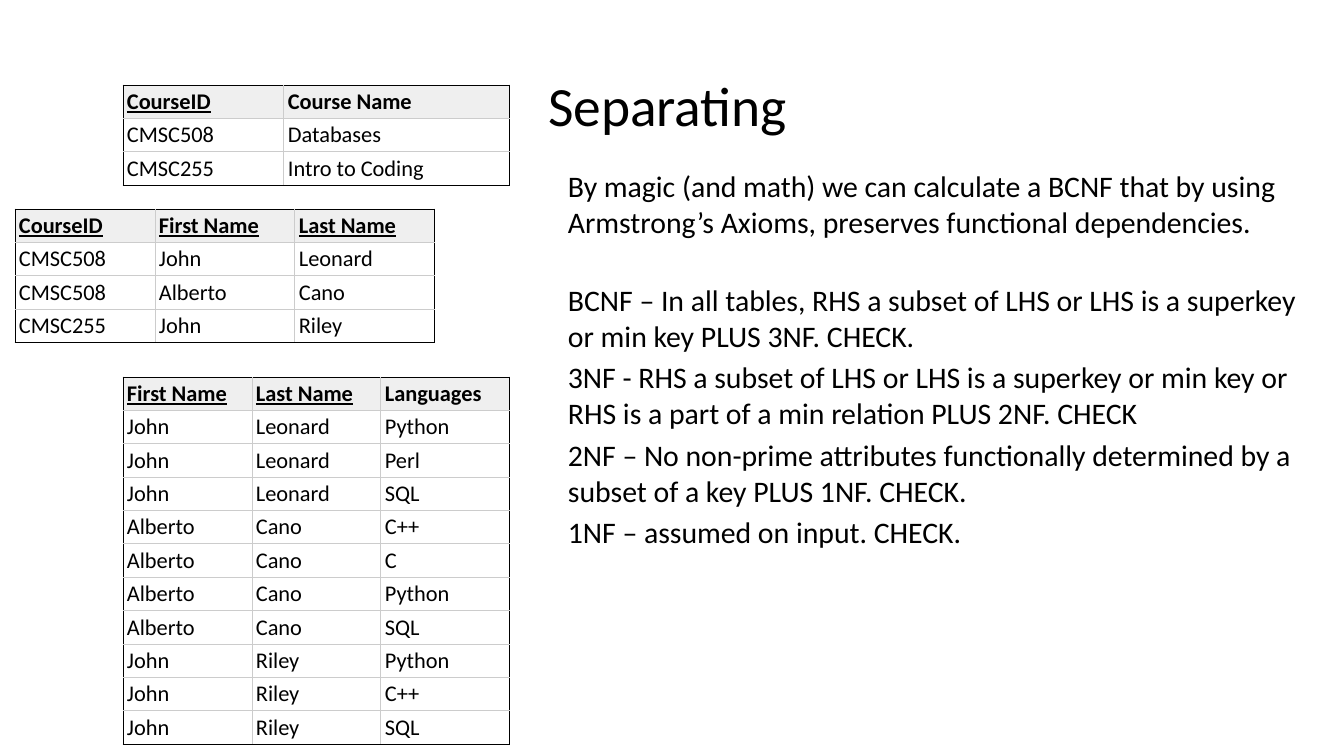
import pptx
import pptx.util
import pptx.dml.color
import pptx.enum.text
import pptx.oxml.ns
import lxml.etree

PX = 914400 / 100.8
FONT = "Calibri"
BLACK, GRID, HEADER = "000000", "CCCCCC", "EFEFEF"
ROW_HEIGHT = 33
PARAGRAPH_GAP = 4.3
SECTION_GAP = 30

# Column widths, underlined key columns, and rows with the header first
COURSES = ([161, 226], {"CourseID"}, [
    ["CourseID", "Course Name"],
    ["CMSC508", "Databases"],
    ["CMSC255", "Intro to Coding"],
])
LANGUAGES = ([129] * 3, {"First Name", "Last Name"}, [
    ["First Name", "Last Name", "Languages"],
    ["John", "Leonard", "Python"],
    ["John", "Leonard", "Perl"],
    ["John", "Leonard", "SQL"],
    ["Alberto", "Cano", "C++"],
    ["Alberto", "Cano", "C"],
    ["Alberto", "Cano", "Python"],
    ["Alberto", "Cano", "SQL"],
    ["John", "Riley", "Python"],
    ["John", "Riley", "C++"],
    ["John", "Riley", "SQL"],
])
INSTRUCTORS = ([140] * 3, {"CourseID", "First Name", "Last Name"}, [
    ["CourseID", "First Name", "Last Name"],
    ["CMSC508", "John", "Leonard"],
    ["CMSC508", "Alberto", "Cano"],
    ["CMSC255", "John", "Riley"],
])

# Space before each paragraph, and its wording
EXPLANATION = [
    (PARAGRAPH_GAP, "By magic (and math) we can calculate a BCNF that by using "
                    "Armstrong’s Axioms, preserves functional dependencies."),
    (SECTION_GAP, "BCNF – In all tables, RHS a subset of LHS or LHS is a superkey "
                  "or min key PLUS 3NF. CHECK."),
    (PARAGRAPH_GAP, "3NF - RHS a subset of LHS or LHS is a superkey or min key or "
                    "RHS is a part of a min relation PLUS 2NF. CHECK"),
    (PARAGRAPH_GAP, "2NF – No non-prime attributes functionally determined by a "
                    "subset of a key PLUS 1NF. CHECK."),
    (PARAGRAPH_GAP, "1NF – assumed on input. CHECK."),
]


def px(length):
    return pptx.util.Emu(round(length * PX))


def color(hex_code):
    return pptx.dml.color.RGBColor.from_string(hex_code)


def set_font(paragraph, size, bold=False, underline=False):
    font = paragraph.font
    font.name, font.size = FONT, pptx.util.Pt(size)
    font.bold, font.underline = bold, underline
    font.color.rgb = color(BLACK)


def set_margins(frame, across, down):
    frame.margin_left = frame.margin_right = px(across)
    frame.margin_top = frame.margin_bottom = px(down)


def set_border(cell, side, hex_code):
    qn = pptx.oxml.ns.qn
    properties = cell._tc.get_or_add_tcPr()
    line = lxml.etree.SubElement(properties, qn(f"a:ln{side}"), w="9525")
    fill = lxml.etree.SubElement(line, qn("a:solidFill"))
    lxml.etree.SubElement(fill, qn("a:srgbClr"), val=hex_code)


def add_title(slide, left, top, width, height):
    title = slide.shapes.title
    title.left, title.top, title.width, title.height = map(px, (left, top, width, height))
    frame = title.text_frame
    frame.text = "Separating"
    frame.auto_size = pptx.enum.text.MSO_AUTO_SIZE.NONE
    frame.vertical_anchor = pptx.enum.text.MSO_ANCHOR.MIDDLE
    heading = frame.paragraphs[0]
    heading.alignment = pptx.enum.text.PP_ALIGN.LEFT
    heading.line_spacing = 0.9
    set_font(heading, 39.6)


def add_relation(slide, left, top, relation):
    widths, keys, rows = relation
    table = slide.shapes.add_table(
        len(rows), len(widths), px(left), px(top),
        px(sum(widths)), px(ROW_HEIGHT * len(rows))).table
    table.first_row = table.horz_banding = False
    for column, width in zip(table.columns, widths):
        column.width = px(width)
    last_row, last_column = len(rows) - 1, len(widths) - 1

    for r, row in enumerate(rows):
        table.rows[r].height = px(ROW_HEIGHT)
        for c, value in enumerate(row):
            cell = table.cell(r, c)
            cell.text = value
            cell.vertical_anchor = pptx.enum.text.MSO_ANCHOR.BOTTOM
            set_margins(cell, 4, 3)
            is_header = r == 0
            set_font(cell.text_frame.paragraphs[0], 16, is_header,
                     is_header and value in keys)

            # Black outline around a grey grid
            outer_sides = {"L": c == 0, "R": c == last_column,
                           "T": r == 0, "B": r == last_row}
            for side, is_outer in outer_sides.items():
                set_border(cell, side, BLACK if is_outer else GRID)
            if is_header:
                cell.fill.solid()
                cell.fill.fore_color.rgb = color(HEADER)
            else:
                cell.fill.background()


def add_explanation(slide, left, top, width, height):
    frame = slide.shapes.add_textbox(*map(px, (left, top, width, height))).text_frame
    frame.word_wrap = True
    set_margins(frame, 13, 7)
    for i, (gap, wording) in enumerate(EXPLANATION):
        paragraph = frame.add_paragraph() if i else frame.paragraphs[0]
        paragraph.text = wording
        paragraph.space_before = pptx.util.Pt(gap)
        set_font(paragraph, 21.3)


def main():
    presentation = pptx.Presentation()
    presentation.slide_width, presentation.slide_height = px(1344), px(756)
    slide = presentation.slides.add_slide(presentation.slide_layouts.get_by_name("Title Only"))
    add_title(slide, 538, 73, 738, 71)
    add_relation(slide, 123, 85, COURSES)
    add_relation(slide, 123, 377, LANGUAGES)
    add_relation(slide, 15, 209, INSTRUCTORS)
    add_explanation(slide, 555, 161, 764, 433)
    presentation.save("out.pptx")


if __name__ == "__main__":
    main()
